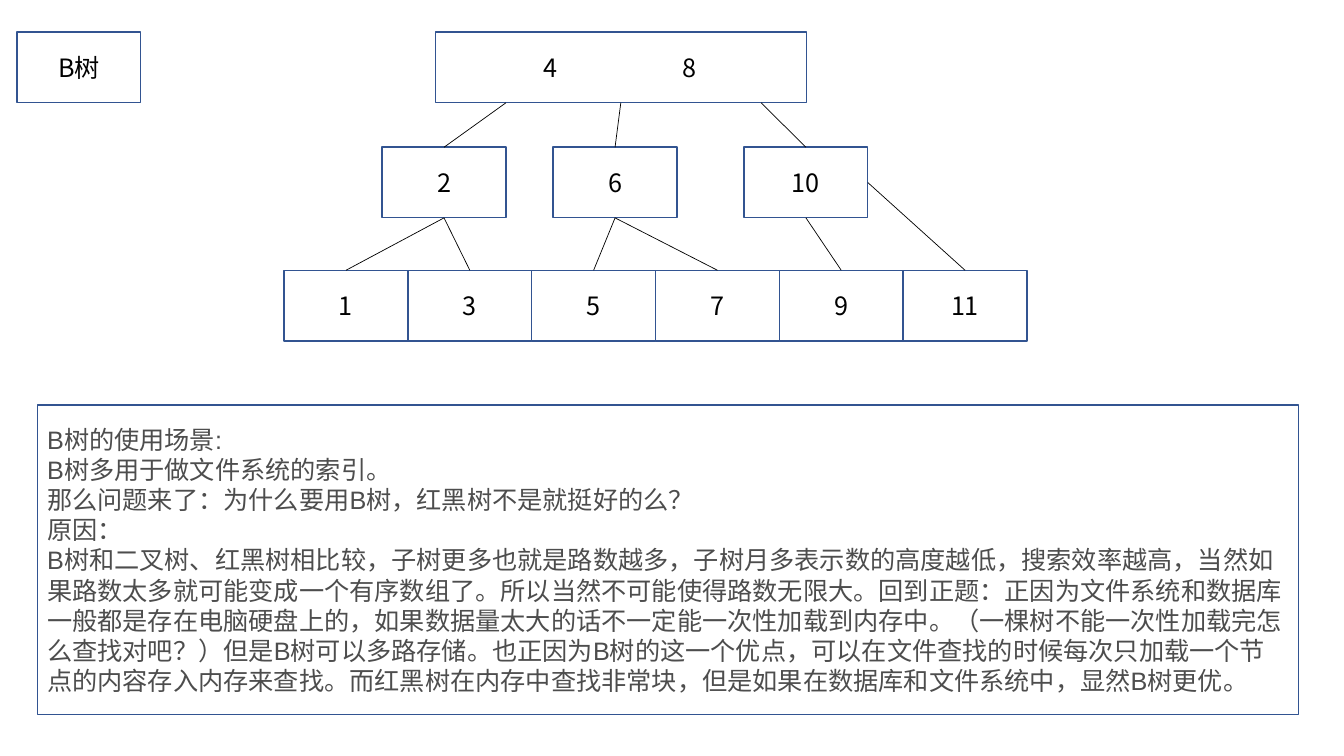
from dataclasses import dataclass
from typing import Optional

from lxml import etree
from pptx import Presentation
from pptx.dml.color import RGBColor
from pptx.enum.shapes import MSO_CONNECTOR, MSO_SHAPE
from pptx.enum.text import MSO_ANCHOR, PP_ALIGN
from pptx.oxml.ns import qn
from pptx.util import Cm, Pt

RECTANGLE = MSO_SHAPE.RECTANGLE
STRAIGHT = MSO_CONNECTOR.STRAIGHT
MIDDLE = MSO_ANCHOR.MIDDLE
LEFT = PP_ALIGN.LEFT
CENTER = PP_ALIGN.CENTER

TOP_SITE, BOTTOM_SITE, RIGHT_SITE = 0, 2, 3
NODE_WIDTH, NODE_HEIGHT = 3.12, 1.78
ROOT_TOP, BRANCH_TOP, LEAF_TOP = 0.81, 3.71, 6.81
LEAF_LEFT = 7.16
ROOT_KEY_LEFT, ROOT_KEY_GAP = 2.74, 3.48
NODE_FONT = "Noto Sans CJK SC"
BODY_FONT = "Arial"

USAGE = (
    "B树的使用场景:\vB树多用于做文件系统的索引。\n"
    "那么问题来了：为什么要用B树，红黑树不是就挺好的么？\v原因：\v"
    "B树和二叉树、红黑树相比较，子树更多也就是路数越多，子树月多表示数的高度越低，"
    "搜索效率越高，当然如果路数太多就可能变成一个有序数组了。所以当然不可能使得路数无限大。"
    "回到正题：正因为文件系统和数据库一般都是存在电脑硬盘上的，"
    "如果数据量太大的话不一定能一次性加载到内存中。（一棵树不能一次性加载完怎么查找对吧？）"
    "但是B树可以多路存储。也正因为B树的这一个优点，"
    "可以在文件查找的时候每次只加载一个节点的内容存入内存来查找。"
    "而红黑树在内存中查找非常块，但是如果在数据库和文件系统中，显然B树更优。"
)


@dataclass
class Box:
    """A framed rectangle with text, measured in centimetres."""
    text: str
    left: float
    top: float
    width: float = NODE_WIDTH
    height: float = NODE_HEIGHT
    font: str = NODE_FONT
    color: str = "000000"
    align: PP_ALIGN = CENTER


@dataclass
class Edge:
    """A link from a parent to the top of a child, optionally from a free x."""
    parent: str
    child: str
    site: int = BOTTOM_SITE
    start_x: Optional[float] = None


ROOT = Box("4\t8", 10.97, ROOT_TOP, width=9.35, align=LEFT)
BRANCHES = [Box(key, left, BRANCH_TOP)
            for key, left in (("2", 9.63), ("6", 13.94), ("10", 18.75))]
LEAVES = [Box(str(2 * index + 1), LEAF_LEFT + index * NODE_WIDTH, LEAF_TOP)
          for index in range(6)]
LABEL = Box("B树", 0.43, ROOT_TOP)
NOTE = Box(USAGE, 0.94, 10.21, 31.78, 7.8, BODY_FONT, "4D4D4D", LEFT)

EDGES = [
    Edge(ROOT.text, "2", start_x=12.75),
    Edge(ROOT.text, "6"),
    Edge(ROOT.text, "10", start_x=19.18),
    Edge("2", "1"), Edge("2", "3"),
    Edge("6", "5"), Edge("6", "7"),
    Edge("10", "9"), Edge("10", "11", RIGHT_SITE),
]


def rgb(color: str) -> RGBColor:
    """Turn a hex string into a colour."""
    return RGBColor.from_string(color)


def set_format(target, values: dict) -> None:
    """Set each named attribute on the target."""
    for name, value in values.items():
        setattr(target, name, value)


def style_span(span, box: Box) -> None:
    """Give a span the font, size and colour of its box."""
    set_format(span.font, {"name": box.font, "size": Pt(18)})
    span.font.color.rgb = rgb(box.color)
    east_asian = etree.SubElement(span.font._element, qn("a:ea"))
    east_asian.set("typeface", box.font)


def draw_box(page, box: Box):
    """Draw a framed box with its text."""
    shape = page.shapes.add_shape(
        RECTANGLE, Cm(box.left), Cm(box.top), Cm(box.width), Cm(box.height))
    shape.shadow.inherit = False
    shape.fill.solid()
    shape.fill.fore_color.rgb = rgb("FFFFFF")
    shape.line.color.rgb = rgb("325491")
    shape.line.width = Pt(1)
    frame = shape.text_frame
    set_format(frame, {"word_wrap": True, "vertical_anchor": MIDDLE,
                       "text": box.text})
    for para in frame.paragraphs:
        para.alignment = box.align
        for span in para.runs:
            style_span(span, box)
    return shape


def space_keys(shape) -> None:
    """Spread the two keys of the root with an inset and a tab stop."""
    frame = shape.text_frame
    frame.margin_left = Cm(ROOT_KEY_LEFT)
    properties = frame.paragraphs[0]._p.get_or_add_pPr()
    stops = etree.SubElement(properties, qn("a:tabLst"))
    etree.SubElement(stops, qn("a:tab"), pos=str(Cm(ROOT_KEY_GAP)), algn="l")


def draw_edge(page, edge: Edge, nodes: dict) -> None:
    """Draw a thin line from a parent to its child."""
    parent, child = nodes[edge.parent], nodes[edge.child]
    line = page.shapes.add_connector(STRAIGHT, 0, 0, 0, 0)
    if edge.start_x is None:
        line.begin_connect(parent, edge.site)
    else:
        set_format(line, {"begin_x": Cm(edge.start_x),
                          "begin_y": parent.top + parent.height})
    line.end_connect(child, TOP_SITE)
    line.line.color.rgb = rgb("000000")
    line.line.width = Pt(0.5)
    etree.SubElement(line._element.spPr, qn("a:effectLst"))


def main() -> None:
    """Build the B-tree slide and save it."""
    deck = Presentation()
    set_format(deck, {"slide_width": Cm(33.87), "slide_height": Cm(19.05)})
    page = deck.slides.add_slide(deck.slide_layouts[6])
    draw_box(page, LABEL)
    nodes = {box.text: draw_box(page, box) for box in [ROOT, *BRANCHES, *LEAVES]}
    space_keys(nodes[ROOT.text])
    for edge in EDGES:
        draw_edge(page, edge, nodes)
    draw_box(page, NOTE)
    deck.save("out.pptx")


main()
